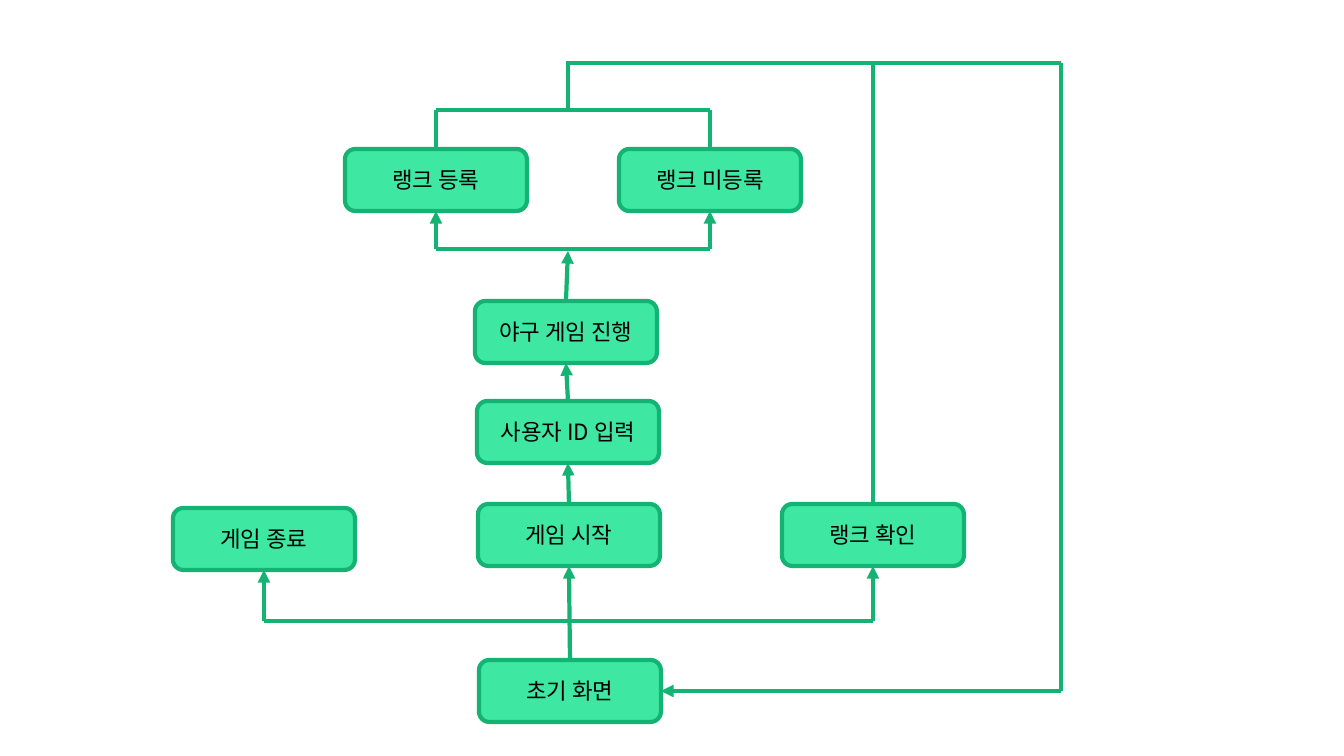
from lxml.etree import SubElement
from pptx import Presentation
from pptx.dml.color import RGBColor
from pptx.enum.shapes import MSO_CONNECTOR as CONN, MSO_SHAPE as SHAPE
from pptx.enum.text import MSO_ANCHOR as ANCHOR, PP_ALIGN as ALIGN
from pptx.oxml.ns import qn
from pptx.util import Pt

PX = 914400 / 100.8
FONT = "Noto Sans CJK KR"
FILL, LINE, TEXT = "3EE8A3", "15B373", "000000"
BOX_W, BOX_H = 182, 62
TOP, LEFT, BOTTOM, RIGHT = range(4)

BOXES = {
    "start": ("게임 시작", 478, 504),
    "check": ("랭크 확인", 782, 504),
    "exit": ("게임 종료", 173, 508),
    "play": ("야구 게임 진행", 475, 301),
    "saved": ("랭크 등록", 345, 149),
    "unsaved": ("랭크 미등록", 619, 149),
    "home": ("초기 화면", 479, 660),
    "user": ("사용자 ID 입력", 477, 401),
}

RETURN_Y, RESULT_Y, SPLIT_Y, MENU_Y, HOME_Y = 63, 110, 249, 621, 691
EXIT_X, SAVED_X, TRUNK_X, UNSAVED_X, CHECK_X, RETURN_X = 264, 436, 568, 710, 873, 1061

LINES = [
    (("unsaved", TOP), (UNSAVED_X, RESULT_Y)),
    (("saved", TOP), (SAVED_X, RESULT_Y)),
    ((SAVED_X, RESULT_Y), (UNSAVED_X, RESULT_Y)),
    ((TRUNK_X, RESULT_Y), (TRUNK_X, RETURN_Y)),
    ((SAVED_X, SPLIT_Y), (UNSAVED_X, SPLIT_Y)),
    ((TRUNK_X - 2, RETURN_Y), (RETURN_X, RETURN_Y)),
    ((RETURN_X, RETURN_Y), (RETURN_X, HOME_Y)),
    (("check", TOP), (CHECK_X, RETURN_Y)),
    ((EXIT_X, MENU_Y), (CHECK_X, MENU_Y)),
]
ARROWS = [
    ((UNSAVED_X, SPLIT_Y), ("unsaved", BOTTOM)),
    ((SAVED_X, SPLIT_Y), ("saved", BOTTOM)),
    (("play", TOP), (TRUNK_X, SPLIT_Y + 2)),
    ((RETURN_X, HOME_Y), ("home", RIGHT)),
    ((EXIT_X, MENU_Y), ("exit", BOTTOM)),
    ((CHECK_X, MENU_Y), ("check", BOTTOM)),
    (("home", TOP), ("start", BOTTOM)),
    (("start", TOP), ("user", BOTTOM)),
    (("user", TOP), ("play", BOTTOM)),
]


def px(n):
    return round(n * PX)


def rgb(value):
    return RGBColor.from_string(value)


def set_line(line):
    line.color.rgb = rgb(LINE)
    line.width = Pt(3)


def add_box(label, x, y):
    sp = s.shapes.add_shape(SHAPE.ROUNDED_RECTANGLE, px(x), px(y), px(BOX_W), px(BOX_H))
    sp.shadow.inherit = False
    sp.fill.solid()
    sp.fill.fore_color.rgb = rgb(FILL)
    set_line(sp.line)
    tf = sp.text_frame
    tf.word_wrap = True
    tf.vertical_anchor = ANCHOR.MIDDLE
    p = tf.paragraphs[0]
    p.alignment = ALIGN.CENTER
    r = p.add_run()
    r.text = label
    r.font.size = Pt(16)
    r.font.name = FONT
    r.font.color.rgb = rgb(TEXT)
    SubElement(r.font._element, qn("a:ea")).set("typeface", FONT)
    return sp


def locate(end):
    if end[0] not in BOXES:
        return end
    name, site = end
    _, x, y = BOXES[name]
    dx, dy = ((0.5, 0), (0, 0.5), (0.5, 1), (1, 0.5))[site]
    return x + BOX_W * dx, y + BOX_H * dy


def add_line(start, stop, arrow):
    c = s.shapes.add_connector(CONN.STRAIGHT, *map(px, locate(start) + locate(stop)))
    for end, connect in ((start, c.begin_connect), (stop, c.end_connect)):
        if end[0] in boxes:
            connect(boxes[end[0]], end[1])
    set_line(c.line)
    if arrow:
        SubElement(c.line._get_or_add_ln(), qn("a:tailEnd")).set("type", "triangle")
    SubElement(c._element.spPr, qn("a:effectLst"))


prs = Presentation()
prs.slide_width, prs.slide_height = px(1344), px(756)
s = prs.slides.add_slide(prs.slide_layouts[6])

boxes = {name: add_box(*box) for name, box in BOXES.items()}
for group, arrow in ((LINES, False), (ARROWS, True)):
    for start, stop in group:
        add_line(start, stop, arrow)

prs.save("out.pptx")
